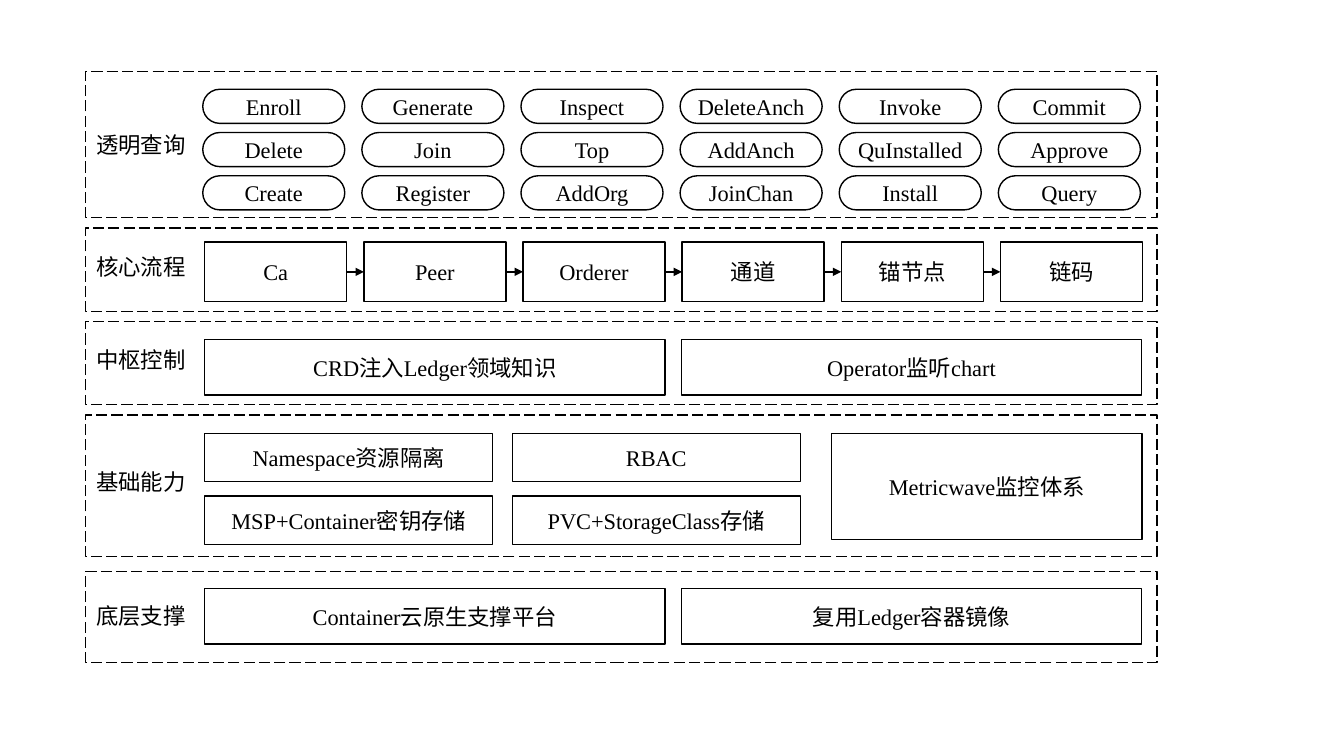
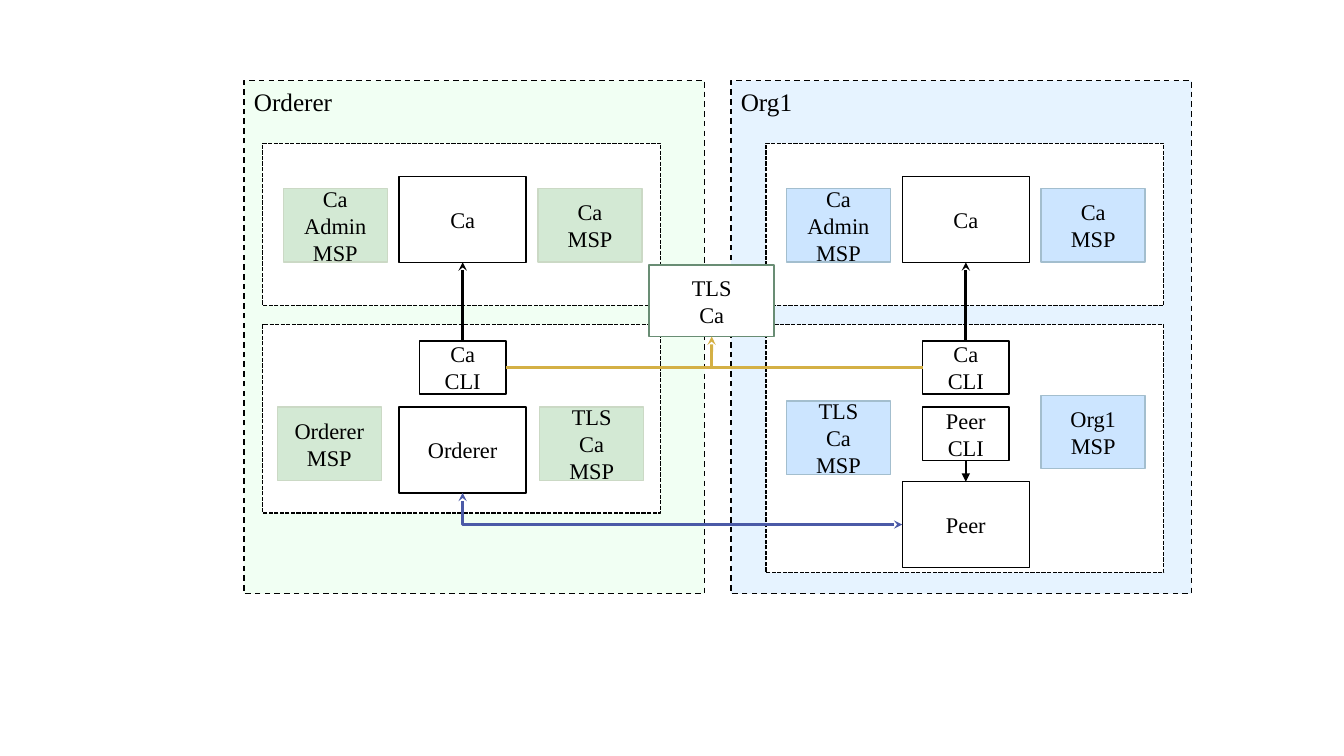
from dataclasses import dataclass
from typing import Optional

from lxml import etree
from pptx import Presentation
from pptx.dml.color import RGBColor
from pptx.enum.dml import MSO_LINE
from pptx.enum.shapes import MSO_CONNECTOR, MSO_SHAPE
from pptx.enum.text import MSO_ANCHOR, PP_ALIGN
from pptx.oxml.ns import qn
from pptx.shapes.autoshape import Shape
from pptx.shapes.connector import Connector
from pptx.slide import Slide
from pptx.util import Cm, Pt

RECT, PILL = MSO_SHAPE.RECTANGLE, MSO_SHAPE.ROUNDED_RECTANGLE
STRAIGHT, ELBOW = MSO_CONNECTOR.STRAIGHT, MSO_CONNECTOR.ELBOW
LONG_DASH, DASH, SHORT_DASH = MSO_LINE.LONG_DASH, MSO_LINE.DASH, MSO_LINE.SQUARE_DOT
CENTER, LEFT, MIDDLE = PP_ALIGN.CENTER, PP_ALIGN.LEFT, MSO_ANCHOR.MIDDLE
TOP_SITE, LEFT_SITE, BOTTOM_SITE, RIGHT_SITE = range(4)

SERIF, HAN = "Times New Roman", "Noto Sans CJK SC"
BLACK, WHITE = "000000", "FFFFFF"
GOLD, INDIGO, SAGE = "D4B045", "4B5AA7", "698D74"


@dataclass(frozen=True)
class Box:
    text: str
    left: float
    top: float
    width: float
    height: float
    fill: Optional[str] = None
    edge: str = BLACK
    dash: Optional[MSO_LINE] = None
    preset: MSO_SHAPE = RECT


@dataclass(frozen=True)
class Band:
    label: str
    top: float
    height: float
    label_top: float


@dataclass(frozen=True)
class Realm:
    title: str
    zone_left: float
    shift: float
    lower_height: float
    tint: str
    card: str
    card_edge: str


BAND_LEFT, BAND_WIDTH = 2.16, 27
CELL_LEFT, CELL_WIDTH, CELL_PITCH = 5.16, 3.58, 4.01
HALF_LEFTS, HALF_WIDTH = (CELL_LEFT, 17.17), 11.6
PILL_TOP, PILL_PITCH, PILL_HEIGHT = 2.25, 1.09, 0.86

BANDS = [
    Band("透明查询", 1.8, 3.68, 3.18),
    Band("核心流程", 5.75, 2.1, 6.25),
    Band("中枢控制", 8.1, 2.1, 8.61),
    Band("基础能力", 10.46, 3.56, 11.68),
    Band("底层支撑", 14.4, 2.29, 15.04),
]
COMMANDS = [
    ["Enroll", "Generate", "Inspect", "DeleteAnch", "Invoke", "Commit"],
    ["Delete", "Join", "Top", "AddAnch", "QuInstalled", "Approve"],
    ["Create", "Register", "AddOrg", "JoinChan", "Install", "Query"],
]
STEPS = ["Ca", "Peer", "Orderer", "通道", "锚节点", "链码"]
HALVES = [
    (8.56, ["CRD注入Ledger领域知识", "Operator监听chart"]),
    (14.83, ["Container云原生支撑平台", "复用Ledger容器镜像"]),
]
ABILITIES = [
    ["Namespace资源隔离", "RBAC"],
    ["MSP+Container密钥存储", "PVC+StorageClass存储"],
]

ORDERER = Realm("Orderer", 6.15, 0, 4.75, "F1FFF3", "D3E9D4", "CBD9C5")
ORG = Realm("Org1", 18.42, 12.68, 6.25, "E6F3FF", "CCE5FF", "A3BECE")


def color(value: str) -> RGBColor:
    return RGBColor.from_string(value)


def write(shape: Shape, text: str, size: int = 16, font: str = SERIF,
          align: PP_ALIGN = CENTER) -> None:
    shape.text_frame.text = text
    for para in shape.text_frame.paragraphs:
        para.alignment = align
        para.font.size = Pt(size)
        para.font.name = font
        para.font.color.rgb = color(BLACK)
        properties = para.font._element
        etree.SubElement(properties, qn("a:ea")).set("typeface", HAN)


def draw_box(page: Slide, box: Box) -> Shape:
    shape = page.shapes.add_shape(box.preset, Cm(box.left), Cm(box.top),
                                  Cm(box.width), Cm(box.height))
    shape.shadow.inherit = False
    if box.preset == PILL:
        shape.adjustments[0] = 0.5
    if box.fill:
        shape.fill.solid()
        shape.fill.fore_color.rgb = color(box.fill)
    else:
        shape.fill.background()
    shape.line.color.rgb = color(box.edge)
    shape.line.width = Pt(1)
    if box.dash:
        shape.line.dash_style = box.dash
    if box.text:
        shape.text_frame.word_wrap = True
        shape.text_frame.vertical_anchor = MIDDLE
        write(shape, box.text)
    return shape


def draw_label(page: Slide, text: str, left: float, top: float, width: float,
               size: int, font: str, align: PP_ALIGN) -> None:
    label = page.shapes.add_textbox(Cm(left), Cm(top), Cm(width), Cm(0.94))
    label.text_frame.word_wrap = False
    write(label, text, size, font, align)


def style_line(line: Connector, edge: str, width: int, head: str = "",
               tail: str = "") -> None:
    line.line.color.rgb = color(edge)
    line.line.width = Pt(width)
    outline = line.line._get_or_add_ln()
    for tag, kind in (("a:headEnd", head), ("a:tailEnd", tail)):
        if kind:
            etree.SubElement(outline, qn(tag)).set("type", kind)
    etree.SubElement(line._element.spPr, qn("a:effectLst"))


def join(page: Slide, start: Shape, start_site: int, end: Shape, end_site: int,
         kind: MSO_CONNECTOR = STRAIGHT) -> Connector:
    line = page.shapes.add_connector(kind, 0, 0, 0, 0)
    line.begin_connect(start, start_site)
    line.end_connect(end, end_site)
    return line


def draw_architecture(page: Slide) -> None:
    for band in BANDS:
        draw_box(page, Box("", BAND_LEFT, band.top, BAND_WIDTH, band.height,
                           dash=LONG_DASH))
        draw_label(page, band.label, BAND_LEFT, band.label_top, 2.79, 16, HAN, CENTER)

    for row, names in enumerate(COMMANDS):
        for column, name in enumerate(names):
            draw_box(page, Box(name, CELL_LEFT - 0.05 + column * CELL_PITCH,
                               PILL_TOP + row * PILL_PITCH, CELL_WIDTH,
                               PILL_HEIGHT, preset=PILL))

    steps = [draw_box(page, Box(name, CELL_LEFT + column * CELL_PITCH, 6.1,
                                CELL_WIDTH, 1.5))
             for column, name in enumerate(STEPS)]
    for before, after in zip(steps, steps[1:]):
        style_line(join(page, before, RIGHT_SITE, after, LEFT_SITE), BLACK, 1,
                   tail="triangle")

    for top, names in HALVES:
        for left, name in zip(HALF_LEFTS, names):
            draw_box(page, Box(name, left, top, HALF_WIDTH, 1.4))

    for row, names in enumerate(ABILITIES):
        for column, name in enumerate(names):
            draw_box(page, Box(name, CELL_LEFT + column * 7.75,
                               10.92 + row * 1.58, 7.26, 1.22))
    draw_box(page, Box("Metricwave监控体系", 20.96, 10.92, 7.82, 2.67))


def draw_card(page: Slide, realm: Realm, text: str, left: float, top: float) -> None:
    draw_box(page, Box(text, left + realm.shift, top, 2.62, 1.85,
                       realm.card, realm.card_edge))


def draw_node(page: Slide, realm: Realm, text: str, top: float) -> Shape:
    return draw_box(page, Box(text, 10.06 + realm.shift, top, 3.2, 2.16))


def draw_client(page: Slide, realm: Realm, text: str, top: float) -> Shape:
    return draw_box(page, Box(text, 10.57 + realm.shift, top, 2.18, 1.34))


def draw_realm(page: Slide, realm: Realm) -> Shape:
    draw_box(page, Box("", realm.zone_left, 2.03, 11.61, 12.93, realm.tint, dash=DASH))
    for top, height in ((3.61, 4.09), (8.18, realm.lower_height)):
        draw_box(page, Box("", 6.62 + realm.shift, top, 10.03, height, WHITE,
                           dash=SHORT_DASH))
    draw_label(page, realm.title, realm.zone_left, 2.05, 2.5, 18, SERIF, LEFT)
    authority = draw_node(page, realm, "Ca", 4.45)
    draw_card(page, realm, "Ca\nAdmin\nMSP", 7.14, 4.75)
    draw_card(page, realm, "Ca\nMSP", 13.56, 4.75)
    client = draw_client(page, realm, "Ca\nCLI", 8.59)
    style_line(join(page, client, TOP_SITE, authority, BOTTOM_SITE), BLACK, 2,
               tail="stealth")
    return client


def draw_identity(page: Slide) -> None:
    org_client = draw_realm(page, ORG)
    draw_card(page, ORG, "TLS\nCa\nMSP", 7.14, 10.11)
    draw_card(page, ORG, "Org1\nMSP", 13.56, 9.96)
    peer_client = draw_client(page, ORG, "Peer\nCLI", 10.26)
    peer = draw_node(page, ORG, "Peer", 12.14)
    style_line(join(page, peer_client, BOTTOM_SITE, peer, TOP_SITE), BLACK, 1,
               tail="triangle")

    orderer_client = draw_realm(page, ORDERER)
    draw_card(page, ORDERER, "Orderer\nMSP", 6.99, 10.26)
    draw_card(page, ORDERER, "TLS\nCa\nMSP", 13.6, 10.26)
    orderer = draw_node(page, ORDERER, "Orderer", 10.26)

    channel = join(page, peer, LEFT_SITE, orderer, BOTTOM_SITE, ELBOW)
    channel._element.spPr.find(qn("a:prstGeom")).set("prst", "bentConnector2")
    style_line(channel, INDIGO, 2, "stealth", "stealth")

    tls = draw_box(page, Box("TLS\nCa", 16.36, 6.68, 3.15, 1.8, WHITE, SAGE))
    style_line(join(page, orderer_client, RIGHT_SITE, org_client, LEFT_SITE), GOLD, 2)
    branch = page.shapes.add_connector(STRAIGHT, Cm(17.93), Cm(9.26), Cm(17.93), Cm(8.48))
    branch.end_connect(tls, BOTTOM_SITE)
    style_line(branch, GOLD, 2, tail="stealth")


def main() -> None:
    deck = Presentation()
    deck.slide_width, deck.slide_height = Cm(33.87), Cm(19.05)
    blank = deck.slide_layouts[6]
    for draw in (draw_architecture, draw_identity):
        draw(deck.slides.add_slide(blank))
    deck.save("out.pptx")


if __name__ == "__main__":
    main()
